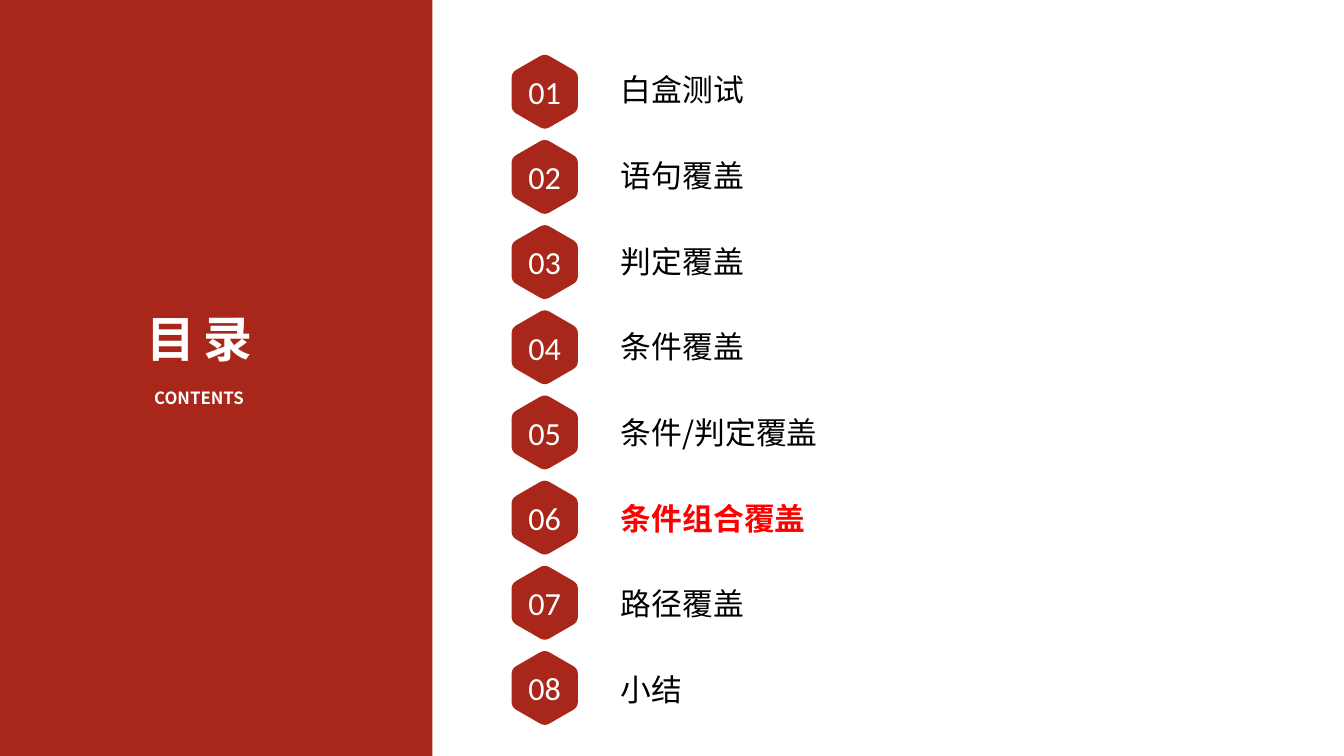
from dataclasses import dataclass
from math import cos, pi, sin

from lxml.etree import SubElement
from pptx import Presentation
from pptx.dml.color import RGBColor as Color
from pptx.enum.shapes import MSO_SHAPE as Shape
from pptx.enum.text import MSO_ANCHOR as Anchor, MSO_AUTO_SIZE as AutoSize, PP_ALIGN as Align
from pptx.oxml.ns import qn
from pptx.util import Inches, Pt


@dataclass(frozen=True)
class Theme:
    red: Color = Color(0xA8, 0x27, 0x1A)
    white: Color = Color(0xFF, 0xFF, 0xFF)
    black: Color = Color(0, 0, 0)
    highlight: Color = Color(0xFF, 0, 0)
    text_font: str = "Noto Sans CJK SC"
    number_font: str = "Calibri"
    title_size: int = 70
    subtitle_size: int = 24
    label_size: int = 44
    number_size: int = 46


THEME = Theme()
WIDTH, HEIGHT = 26.67, 15
PANEL_WIDTH = 8.58

# Grid of the agenda: one badge and one label per row
BADGE_X, FIRST_BADGE_Y = 10.81, 1.82
BADGE_RADIUS, CORNER_CUT = 0.76, 0.11
NUMBER_WIDTH, NUMBER_HEIGHT = 1.74, 1.05
LABEL_X, FIRST_LABEL_Y = 12.27, 1.36
LABEL_WIDTH, LABEL_HEIGHT = 6.11, 0.78
BADGE_PITCH, LABEL_PITCH = 1.69, 1.7

TOPICS = ["白盒测试", "语句覆盖", "判定覆盖", "条件覆盖",
          "条件/判定覆盖", "条件组合覆盖", "路径覆盖", "小结"]
CURRENT_TOPIC = "条件组合覆盖"


def place(shape, left, top, width, height):
    shape.left, shape.top = Inches(left), Inches(top)
    shape.width, shape.height = Inches(width), Inches(height)


def paint(shape, color):
    shape.fill.solid()
    shape.fill.fore_color.rgb = color
    shape.line.fill.background()
    shape.shadow.inherit = False


def write(shape, text, size, color, font=THEME.text_font, bold=False,
          align=Align.LEFT, anchor=Anchor.TOP, spacing=0):
    frame = shape.text_frame
    frame.word_wrap, frame.auto_size = True, AutoSize.NONE
    frame.vertical_anchor = anchor
    frame.margin_left = frame.margin_right = Inches(0.05)
    frame.margin_top = frame.margin_bottom = Inches(0.05)
    paragraph = frame.paragraphs[0]
    paragraph.alignment = align
    run = paragraph.add_run()
    run.text = text
    run.font.size, run.font.bold = Pt(size), bold
    run.font.color.rgb = color
    run.font.name = font
    # East Asian typeface and letter spacing
    properties = run.font._element
    SubElement(properties, qn("a:ea")).set("typeface", font)
    if spacing:
        properties.set("spc", str(round(spacing * 100)))


def add_text(shapes, left, top, width, height, text, size, color, **style):
    box = shapes.add_textbox(Inches(left), Inches(top), Inches(width), Inches(height))
    write(box, text, size, color, **style)


def rounded_hexagon(center_x, center_y):
    """Points of a pointy-top hexagon, each corner eased by a quadratic curve."""
    corners = [(center_x + BADGE_RADIUS * sin(k * pi / 3),
                center_y - BADGE_RADIUS * cos(k * pi / 3)) for k in range(6)]
    cut = CORNER_CUT / BADGE_RADIUS
    points = []
    for k, corner in enumerate(corners):
        before, after = corners[k - 1], corners[(k + 1) % 6]
        start = [c + (b - c) * cut for c, b in zip(corner, before)]
        end = [c + (a - c) * cut for c, a in zip(corner, after)]
        for t in (0, 0.25, 0.5, 0.75, 1):
            points.append(tuple(
                Inches((1 - t) ** 2 * s + 2 * t * (1 - t) * c + t ** 2 * e)
                for s, c, e in zip(start, corner, end)))
    return points


def add_badge(shapes, center_y, number):
    points = rounded_hexagon(BADGE_X, center_y)
    builder = shapes.build_freeform(*points[0])
    builder.add_line_segments(points[1:], close=True)
    paint(builder.convert_to_shape(), THEME.red)
    add_text(shapes, BADGE_X - NUMBER_WIDTH / 2, center_y - NUMBER_HEIGHT / 2,
             NUMBER_WIDTH, NUMBER_HEIGHT, f"{number:02}", THEME.number_size,
             THEME.white, font=THEME.number_font, align=Align.CENTER, anchor=Anchor.MIDDLE)


def add_topic(slide, row, topic):
    shapes = slide.shapes.add_group_shape().shapes
    add_badge(shapes, FIRST_BADGE_Y + row * BADGE_PITCH, row + 1)
    current = topic == CURRENT_TOPIC
    add_text(shapes, LABEL_X, FIRST_LABEL_Y + row * LABEL_PITCH, LABEL_WIDTH, LABEL_HEIGHT,
             topic, THEME.label_size, THEME.highlight if current else THEME.black, bold=current)


def add_title_panel(slide):
    panel = slide.shapes.add_shape(Shape.RECTANGLE, 0, 0, Inches(PANEL_WIDTH), Inches(HEIGHT))
    paint(panel, THEME.red)
    title = slide.shapes.title
    title.element.addprevious(panel.element)  # panel goes behind the title
    place(title, 1.12, 6.08, 5.68, 2.85)
    write(title, "目录", THEME.title_size, THEME.white, bold=True,
          align=Align.CENTER, spacing=11.7)
    add_text(slide.shapes, 1.87, 7.64, 4.16, 0.99, "CONTENTS", THEME.subtitle_size,
             THEME.white, bold=True, align=Align.CENTER)


def main():
    presentation = Presentation()
    presentation.slide_width, presentation.slide_height = Inches(WIDTH), Inches(HEIGHT)
    slide = presentation.slides.add_slide(presentation.slide_layouts[5])
    add_title_panel(slide)
    for row, topic in enumerate(TOPICS):
        add_topic(slide, row, topic)
    presentation.save("out.pptx")


if __name__ == "__main__":
    main()
